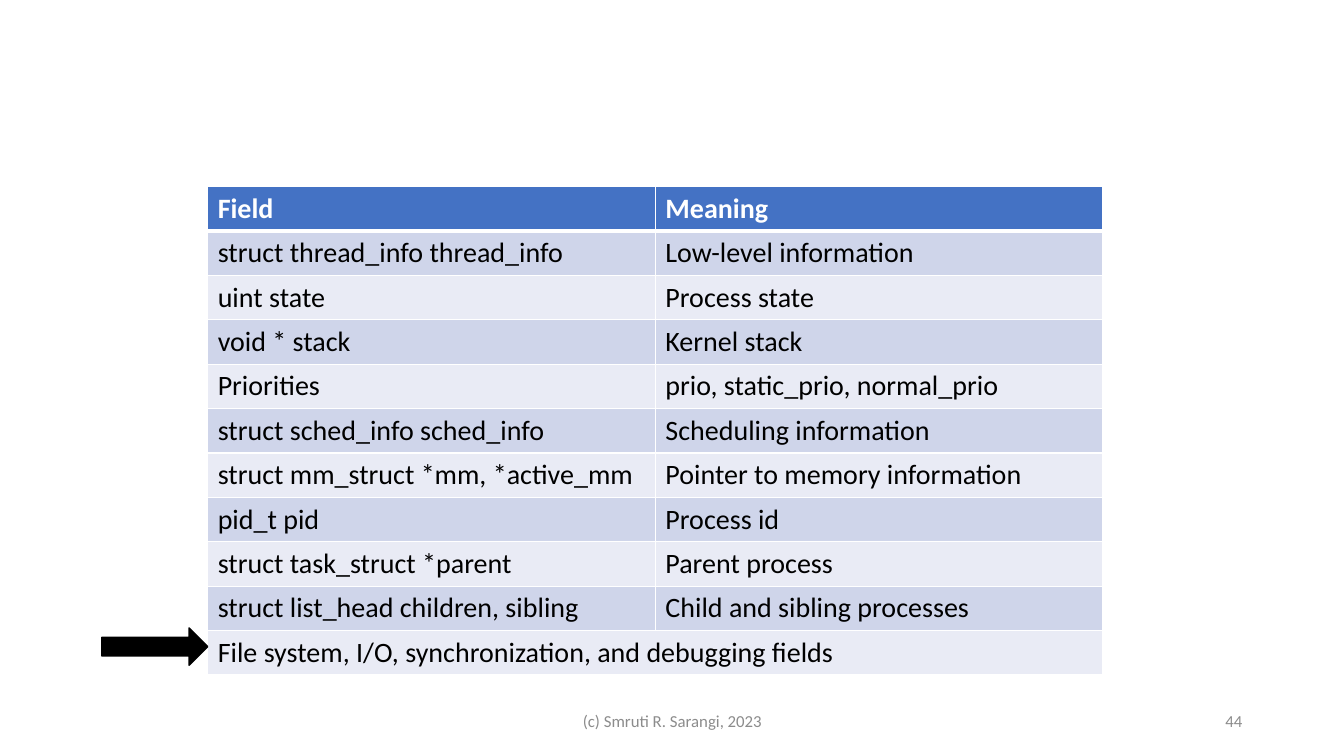
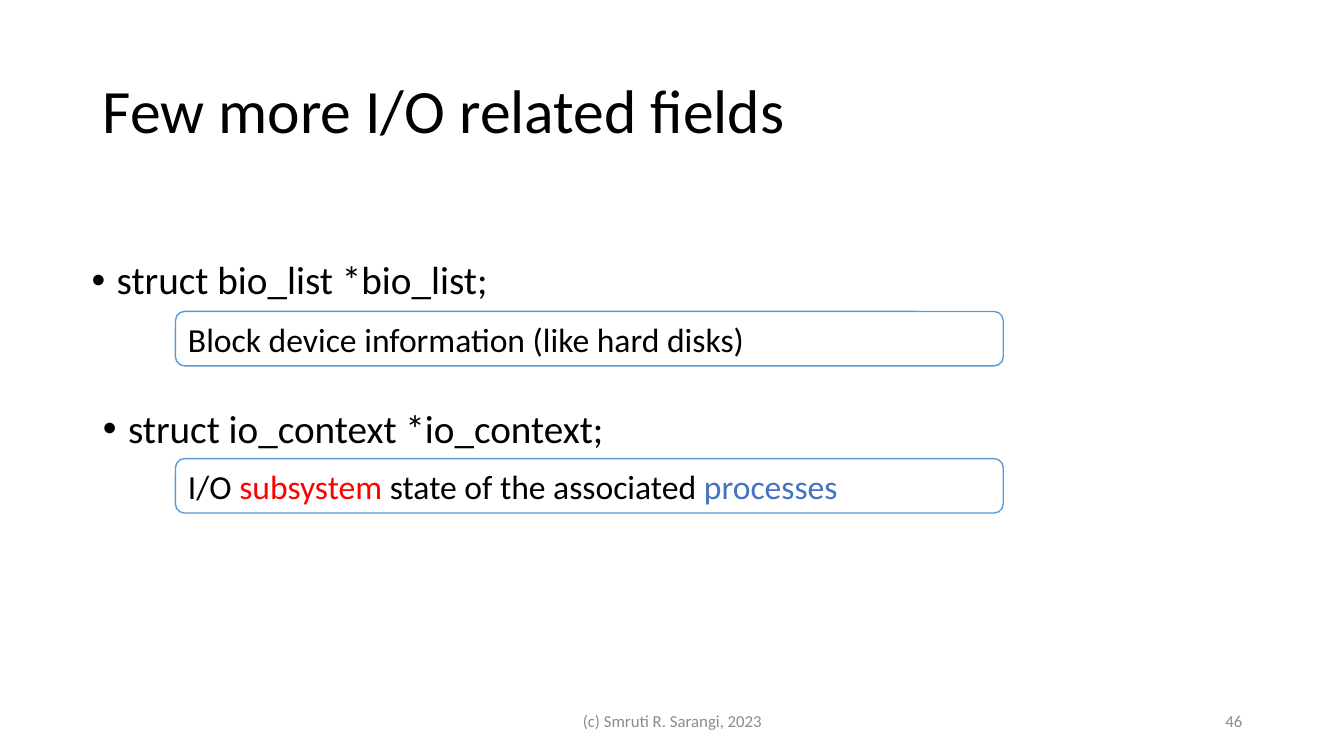
from lxml.etree import SubElement
from pptx import Presentation
from pptx.dml.color import RGBColor
from pptx.enum.shapes import MSO_SHAPE
from pptx.enum.text import MSO_ANCHOR, MSO_AUTO_SIZE, PP_ALIGN
from pptx.oxml.ns import qn
from pptx.util import Inches, Pt

FONT = "Calibri"
COLORS = {
    "black": "000000",
    "white": "FFFFFF",
    "blue": "4472C4",
    "outline": "5B9BD5",
    "red": "FF0000",
    "footer": "8C8C8C",
    "band_dark": "CFD5EA",
    "band_light": "E9EBF5",
}
TITLE_ONLY_LAYOUT, BLANK_LAYOUT = 1, 6
ROW_HEIGHT = 0.44
FIELD_ROWS = [
    ("Field", "Meaning"),
    ("struct thread_info thread_info", "Low-level information"),
    ("uint state", "Process state"),
    ("void * stack", "Kernel stack"),
    ("Priorities", "prio, static_prio, normal_prio"),
    ("struct sched_info sched_info", "Scheduling information"),
    ("struct mm_struct *mm, *active_mm", "Pointer to memory information"),
    ("pid_t pid", "Process id"),
    ("struct task_struct *parent", "Parent process"),
    ("struct list_head children, sibling", "Child and sibling processes"),
    ("File system, I/O, synchronization, and debugging fields",),
]


def rgb(name):
    return RGBColor.from_string(COLORS[name])


def place(shape, left, top, width, height):
    shape.left, shape.top = Inches(left), Inches(top)
    shape.width, shape.height = Inches(width), Inches(height)


def add_bullet(paragraph):
    properties = paragraph._p.get_or_add_pPr()
    properties.set("marL", str(Inches(0.25)))
    properties.set("indent", str(Inches(-0.25)))
    SubElement(properties, qn("a:buFont")).set("typeface", "Arial")
    SubElement(properties, qn("a:buChar")).set("char", "•")


def write_text(frame, text, size, color="black", bold=False, bullet=False,
               align=PP_ALIGN.LEFT, anchor=MSO_ANCHOR.TOP, line_spacing=1.0):
    """Fill the frame with a string, or with a list of (text, color) runs."""
    frame.word_wrap = True
    frame.auto_size = MSO_AUTO_SIZE.NONE
    frame.vertical_anchor = anchor
    paragraph = frame.paragraphs[0]
    paragraph.alignment = align
    paragraph.line_spacing = line_spacing
    paragraph.space_before = Pt(0)
    if bullet:
        add_bullet(paragraph)
    runs = [(text, color)] if isinstance(text, str) else text
    for run_text, run_color in runs:
        run = paragraph.add_run()
        run.text = run_text
        run.font.name = FONT
        run.font.size = Pt(size)
        run.font.bold = bold
        run.font.color.rgb = rgb(run_color)


def add_text(slide, box, text, size, **text_format):
    text_box = slide.shapes.add_textbox(*map(Inches, box))
    write_text(text_box.text_frame, text, size, **text_format)


def add_shape(slide, kind, box, fill, line):
    shape = slide.shapes.add_shape(kind, *map(Inches, box))
    shape.shadow.inherit = False
    shape.fill.solid()
    shape.fill.fore_color.rgb = rgb(fill)
    shape.line.color.rgb = rgb(line)
    shape.line.width = Pt(1)
    return shape


def add_footer(slide, number):
    for box, text, align in (
        ((4.42, 6.95, 4.5, 0.4), "(c) Smruti R. Sarangi, 2023", PP_ALIGN.CENTER),
        ((9.42, 6.95, 3, 0.4), str(number), PP_ALIGN.RIGHT),
    ):
        add_text(slide, box, text, 12, color="footer", align=align,
                 anchor=MSO_ANCHOR.MIDDLE)


def set_borders(cell, bottom_width):
    properties = cell._tc.get_or_add_tcPr()
    for side, width in (("L", 1), ("R", 1), ("T", 1), ("B", bottom_width)):
        line = SubElement(properties, qn(f"a:ln{side}"))
        line.set("w", str(Pt(width)))
        fill = SubElement(line, qn("a:solidFill"))
        SubElement(fill, qn("a:srgbClr")).set("val", COLORS["white"])


def format_cell(cell, row_index):
    is_header = row_index == 0
    set_borders(cell, bottom_width=3 if is_header else 1)
    band = "band_dark" if row_index % 2 else "band_light"
    cell.fill.solid()
    cell.fill.fore_color.rgb = rgb("blue" if is_header else band)


def write_cell(cell, text, is_header):
    write_text(cell.text_frame, text, 20, bold=is_header,
               color="white" if is_header else "black")
    cell.vertical_anchor = MSO_ANCHOR.TOP


def add_field_table(slide):
    row_count = len(FIELD_ROWS)
    table = slide.shapes.add_table(
        row_count, 2, Inches(2.06), Inches(1.85), Inches(8.88),
        Inches(ROW_HEIGHT * row_count)).table
    for row_index, texts in enumerate(FIELD_ROWS):
        for column in range(2):
            format_cell(table.cell(row_index, column), row_index)
        if len(texts) == 1:
            table.cell(row_index, 0).merge(table.cell(row_index, 1))
        for column, text in enumerate(texts):
            write_cell(table.cell(row_index, column), text, row_index == 0)


def add_explanation(slide, top, text):
    box = add_shape(slide, MSO_SHAPE.ROUNDED_RECTANGLE, (1.74, top, 8.21, 0.54),
                    fill="white", line="outline")
    write_text(box.text_frame, text, 24, anchor=MSO_ANCHOR.MIDDLE)


def build_field_slide(presentation):
    slide = presentation.slides.add_slide(presentation.slide_layouts[BLANK_LAYOUT])
    add_field_table(slide)
    add_shape(slide, MSO_SHAPE.RIGHT_ARROW, (1.01, 6.23, 1.05, 0.37),
              fill="black", line="black")
    add_footer(slide, 44)


def build_io_slide(presentation):
    slide = presentation.slides.add_slide(presentation.slide_layouts[TITLE_ONLY_LAYOUT])
    title, body = slide.shapes.title, slide.placeholders[1]
    place(title, 0.92, 0.4, 11.5, 1.45)
    write_text(title.text_frame, "Few more I/O related fields", 44,
               anchor=MSO_ANCHOR.MIDDLE, line_spacing=0.9)

    bullet_format = {"size": 28, "bullet": True, "line_spacing": 0.9}
    add_text(slide, (0.81, 2.54, 11.5, 0.54), "struct bio_list *bio_list;",
             **bullet_format)
    add_explanation(slide, 3.09, "Block device information (like hard disks)")

    place(body, 0.92, 4.01, 11.5, 0.54)
    write_text(body.text_frame, "struct io_context *io_context;", **bullet_format)
    add_explanation(slide, 4.55, [
        ("I/O ", "black"), ("subsystem", "red"),
        (" state of the associated ", "black"), ("processes", "blue"),
    ])
    add_footer(slide, 46)


def main():
    presentation = Presentation()
    presentation.slide_width = Inches(13.33)
    presentation.slide_height = Inches(7.5)
    build_field_slide(presentation)
    build_io_slide(presentation)
    presentation.save("out.pptx")


if __name__ == "__main__":
    main()
